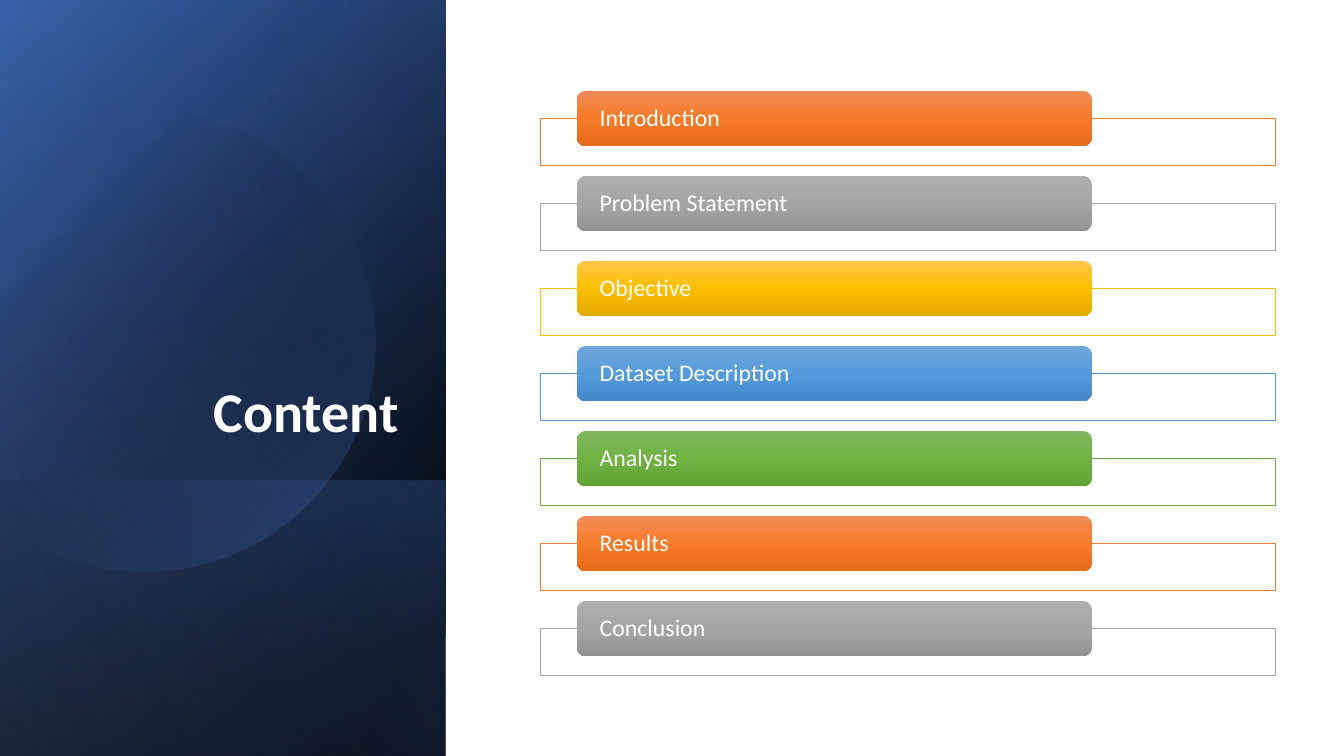
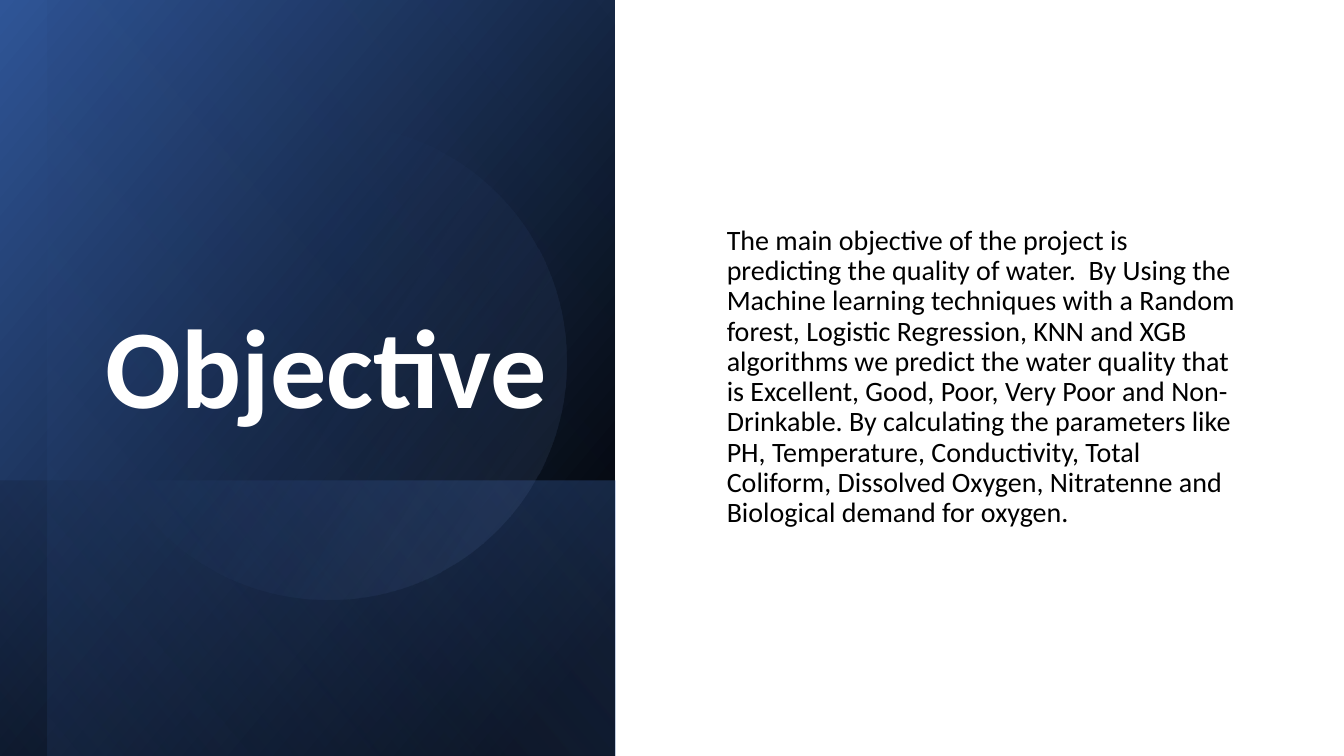
from dataclasses import dataclass

from pptx import Presentation
from pptx.dml.color import RGBColor
from pptx.enum.shapes import MSO_SHAPE
from pptx.enum.text import MSO_ANCHOR, PP_ALIGN
from pptx.oxml import parse_xml
from pptx.oxml.ns import nsdecls, qn
from pptx.util import Inches, Pt


@dataclass(frozen=True)
class Theme:
    font: str = "Calibri"
    white: str = "FFFFFF"
    black: str = "000000"
    navy: str = "2F5597"
    blue: str = "4472C4"
    pale: str = "8FAADC"
    title: int = 40
    hero: int = 80
    body: int = 20
    label: int = 17
    accents: tuple = (
        ("ED7D31", "F18C57", "F67B28", "E56C19"),
        ("A5A5A5", "AFAFAF", "A5A5A5", "939393"),
        ("FFC000", "FFC64B", "FFC000", "E3AB00"),
        ("5B9BD5", "71A6DB", "559BDB", "448ACA"),
        ("70AD47", "81B861", "6FB242", "62A336"),
    )


THEME = Theme()
WIDE, HIGH = 13.33, 7.5
FOOT = 4.77
TOPICS = (
    "Introduction",
    "Problem Statement",
    "Objective",
    "Dataset Description",
    "Analysis",
    "Results",
    "Conclusion",
)
AIM = (
    "The main objective of the project is predicting the quality of water.  "
    "By Using the Machine learning techniques with a Random forest, Logistic "
    "Regression, KNN and XGB algorithms we predict the water quality that is "
    "Excellent, Good, Poor, Very Poor and Non-Drinkable. By calculating the "
    "parameters like PH, Temperature, Conductivity, Total Coliform, Dissolved "
    "Oxygen, Nitratenne and Biological demand for oxygen."
)


def shade(shape, stops, angle):
    marks = "".join(
        f'<a:gs pos="{spot * 1000}"><a:srgbClr val="{color}">'
        f'<a:alpha val="{alpha * 1000}"/></a:srgbClr></a:gs>'
        for spot, color, alpha in stops
    )
    grad = parse_xml(
        f'<a:gradFill {nsdecls("a")} rotWithShape="1"><a:gsLst>{marks}</a:gsLst>'
        f'<a:lin ang="{round(angle * 60000)}" scaled="0"/></a:gradFill>'
    )
    shape.fill.background()
    props = shape._element.spPr
    props.replace(props.find(qn("a:noFill")), grad)
    shape.line.fill.background()
    shape.shadow.inherit = False


def add_shape(slide, kind, left, top, width, height):
    return slide.shapes.add_shape(
        kind, Inches(left), Inches(top), Inches(width), Inches(height)
    )


def add_panel(slide, left, top, width, height, stops, angle):
    shift = (width - height) / 2
    panel = add_shape(
        slide, MSO_SHAPE.RECTANGLE, left + shift, top - shift, height, width
    )
    panel.rotation = 90
    panel._element.spPr.xfrm.set("flipH", "1")
    shade(panel, stops, angle)


def add_base(slide, width):
    stops = (8, THEME.black, 100), (100, THEME.navy, 100)
    add_panel(slide, 0, 0, width, HIGH, stops, 50)


def add_foot(slide, width):
    stops = (2, THEME.blue, 29), (100, THEME.black, 30)
    add_panel(slide, 0, FOOT, width, HIGH - FOOT, stops, 130)


def add_arc(slide, mid_x, mid_y, radius, sweep):
    size = 2 * radius
    arc = add_shape(
        slide, MSO_SHAPE.CHORD, mid_x - radius, mid_y - radius, size, size
    )
    unit = 0.6
    arc.adjustments[0] = (360 - sweep) * unit
    arc.adjustments[1] = sweep * unit
    shade(arc, ((29, THEME.black, 0), (100, THEME.blue, 43)), 45)


def write(shape, text, size, color, anchor, align=PP_ALIGN.LEFT, bold=False):
    frame = shape.text_frame
    frame.word_wrap = True
    frame.vertical_anchor = anchor
    line = frame.paragraphs[0]
    line.text = text
    line.alignment = align
    line.line_spacing = 0.9
    line.font.name = THEME.font
    line.font.size = Pt(size)
    line.font.bold = bold
    line.font.color.rgb = RGBColor.from_string(color)


def add_text(slide, left, top, width, height, *style):
    box = slide.shapes.add_textbox(
        Inches(left), Inches(top), Inches(width), Inches(height)
    )
    write(box, *style)


def add_title(slide, left, top, width, height, text, size):
    add_text(
        slide, left, top, width, height,
        text, size, THEME.white, MSO_ANCHOR.BOTTOM, PP_ALIGN.RIGHT, True,
    )


def add_topic(slide, top, text, accent):
    edge, light, mid, dark = accent
    frame = add_shape(slide, MSO_SHAPE.RECTANGLE, 5.36, top + 0.27, 7.29, 0.47)
    frame.shadow.inherit = False
    frame.fill.solid()
    frame.fill.fore_color.rgb = RGBColor.from_string(THEME.white)
    frame.line.color.rgb = RGBColor.from_string(edge)
    frame.line.width = Pt(0.5)
    bar = add_shape(slide, MSO_SHAPE.ROUNDED_RECTANGLE, 5.72, top, 5.11, 0.55)
    shade(bar, ((0, light, 100), (50, mid, 100), (100, dark, 100)), 90)
    bar.text_frame.margin_left = bar.text_frame.margin_right = Inches(0.2)
    bar.text_frame.margin_top = bar.text_frame.margin_bottom = 0
    write(bar, text, THEME.label, THEME.white, MSO_ANCHOR.MIDDLE)


def add_content(slide):
    width = 4.42
    add_base(slide, width)
    glow = (0, THEME.black, 0), (99, THEME.blue, 46)
    add_panel(slide, 0, 0, width, HIGH, glow, 30)
    add_foot(slide, width)
    add_arc(slide, 1.43, 3.38, 2.29, 134)
    haze = (0, THEME.black, 0), (99, THEME.pale, 11)
    add_panel(slide, 0, 0, width, HIGH, haze, 120)
    add_title(slide, 0.64, 1.84, 3.41, 2.62, "Content", THEME.title)
    first, last = 0.9, 5.96
    step = (last - first) / (len(TOPICS) - 1)
    for row, topic in enumerate(TOPICS):
        accent = THEME.accents[row % len(THEME.accents)]
        add_topic(slide, first + row * step, topic, accent)


def add_aim(slide):
    width, inset = 6.1, 0.47
    add_base(slide, width)
    add_foot(slide, width)
    haze = (0, THEME.black, 0), (99, THEME.blue, 11)
    add_panel(slide, inset, 0, width - inset, HIGH, haze, 130)
    disc = add_shape(slide, MSO_SHAPE.OVAL, 0.9, 1.23, 4.72, 4.72)
    disc.rotation = 101.6
    shade(disc, ((39, THEME.blue, 0), (100, THEME.pale, 15)), 290)
    add_title(slide, 0.9, 0.64, 4.63, 3.7, "Objective", THEME.hero)
    add_text(
        slide, 7.11, 0.71, 5.32, 6.07,
        AIM, THEME.body, THEME.black, MSO_ANCHOR.MIDDLE,
    )


def main():
    deck = Presentation()
    deck.slide_width, deck.slide_height = Inches(WIDE), Inches(HIGH)
    for build in (add_content, add_aim):
        build(deck.slides.add_slide(deck.slide_layouts[6]))
    deck.save("out.pptx")


if __name__ == "__main__":
    main()
